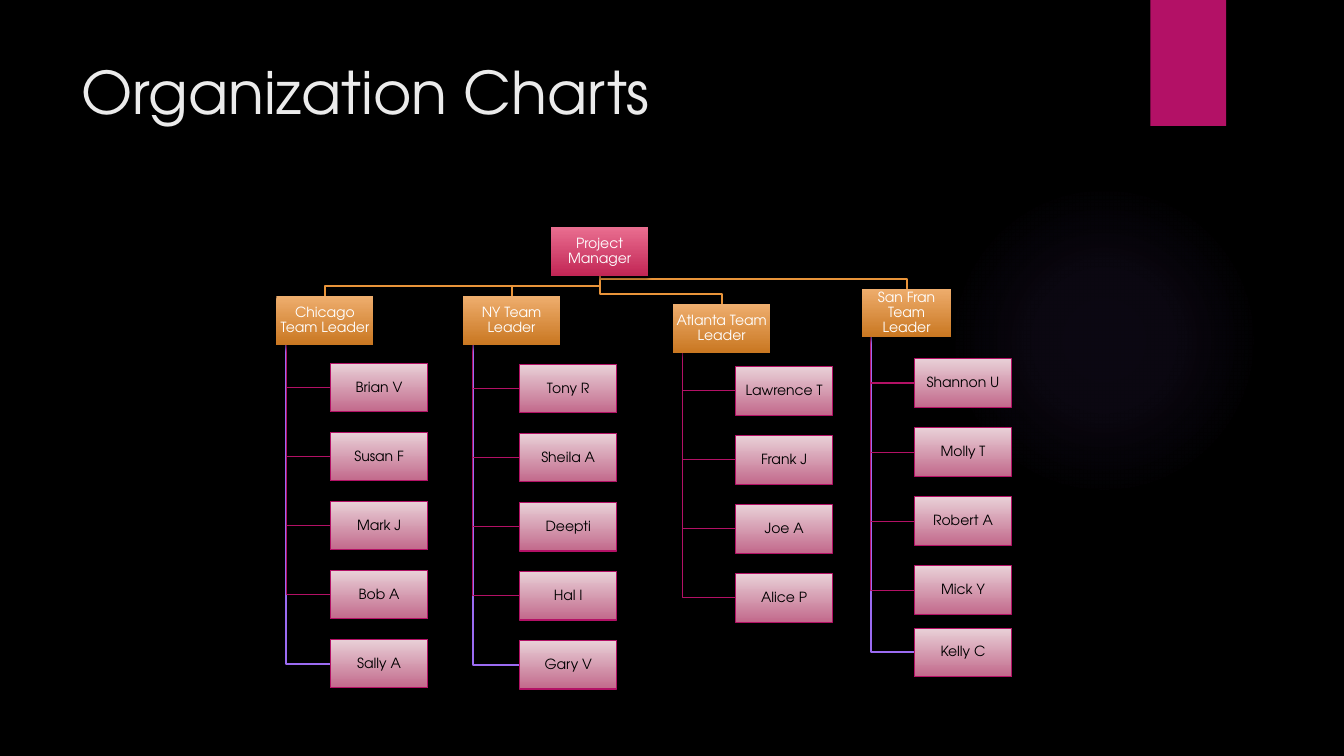
import lxml.etree
import pptx
import pptx.dml.color
import pptx.enum.shapes
import pptx.enum.text
import pptx.oxml
import pptx.util

Pt = pptx.util.Pt
NS = 'xmlns:a="http://schemas.openxmlformats.org/drawingml/2006/main"'
COLORS = {
    "back": "000000", "title": "EBEBEB", "white": "FFFFFF", "black": "000000",
    "magenta": "B31166", "orange": "E9943A", "purple": "9B6BF2",
    "manager": ("E96E90", "C22655"),
    "leader": ("EEAD6D", "C97721"),
    "member": ("E9D1D8", "C2698B"),
}
BOX_WIDTH, BOX_HEIGHT = 69.4, 34.8
MEMBER_STEP = 49.3
BUS_GAP = 7.2
MANAGER_LEFT, MANAGER_TOP = 393.6, 162.2

# leader, left, top, width, member left, first member top, members
TEAMS = [
    ("Chicago Team Leader", 197.4, 211.8, BOX_WIDTH, 236.1, 259.4,
     ["Brian V", "Susan F", "Mark J", "Bob A", "Sally A"]),
    ("NY Team Leader", 330.7, 211.8, BOX_WIDTH, 371.2, 260.2,
     ["Tony R", "Sheila A", "Deepti", "Hal I", "Gary V"]),
    ("Atlanta Team Leader", 480.8, 217.4, BOX_WIDTH, 525.4, 261.8,
     ["Lawrence T", "Frank J", "Joe A", "Alice P"]),
    ("San Fran Team Leader", 615.6, 206.2, 64, 653.2, 256.2,
     ["Shannon U", "Molly T", "Robert A", "Mick Y", "Kelly C"]),
]
LAST_TOPS = {"Kelly C": 448.6}


def rgb(name):
    return pptx.dml.color.RGBColor.from_string(COLORS.get(name, name))


def write(frame, text, size=10, color="white", align=None, anchor=None, inset=None,
          spacing=None, after=None):
    """Put one formatted paragraph into a text frame."""
    frame.word_wrap = True
    if anchor is not None:
        frame.vertical_anchor = anchor
    if inset is not None:
        frame.margin_left = frame.margin_right = Pt(inset)
        frame.margin_top = frame.margin_bottom = Pt(inset)
    para = frame.paragraphs[0]
    para.alignment = align
    para.line_spacing = spacing
    para.space_after = after
    span = para.add_run()
    span.text = text
    span.font.name = "TeX Gyre Adventor"
    span.font.size = Pt(size)
    span.font.color.rgb = rgb(color)


class OrgPage:
    """Holds the slide and the style of its elements."""

    def __init__(self, page):
        self.page = page
        page.background.fill.solid()
        page.background.fill.fore_color.rgb = rgb("back")

    def shape(self, kind, left, top, width, height):
        shape = self.page.shapes.add_shape(kind, Pt(left), Pt(top), Pt(width), Pt(height))
        shape.shadow.inherit = False
        shape.line.fill.background()
        return shape

    def rectangle(self, left, top, width, height):
        return self.shape(pptx.enum.shapes.MSO_SHAPE.RECTANGLE, left, top, width, height)

    def drop_shadow(self, shape):
        effects = shape._element.spPr.find(pptx.oxml.ns.qn("a:effectLst"))
        effects.append(pptx.oxml.parse_xml(
            f'<a:outerShdw {NS} blurRad="{Pt(3)}" dist="{Pt(2)}" dir="5400000" rotWithShape="0">'
            f'<a:srgbClr val="{COLORS["black"]}"><a:alpha val="45000"/></a:srgbClr></a:outerShdw>'))

    def glow(self, left, top, size):
        """Faint round light that fades outwards."""
        disc = self.shape(pptx.enum.shapes.MSO_SHAPE.OVAL, left, top, size, size)
        disc.fill.background()
        stops = "".join(
            f'<a:gs pos="{place}000"><a:srgbClr val="{COLORS["purple"]}">'
            f'<a:alpha val="{alpha}000"/></a:srgbClr></a:gs>'
            for place, alpha in ((0, 7), (36, 6), (69, 0)))
        gradient = pptx.oxml.parse_xml(
            f'<a:gradFill {NS}><a:gsLst>{stops}</a:gsLst><a:path path="circle">'
            '<a:fillToRect l="50000" t="50000" r="50000" b="50000"/></a:path></a:gradFill>')
        properties = disc._element.spPr
        properties.replace(properties.find(pptx.oxml.ns.qn("a:noFill")), gradient)

    def tab(self, left, top, width, height):
        tab = self.rectangle(left, top, width, height)
        tab.fill.solid()
        tab.fill.fore_color.rgb = rgb("magenta")
        self.drop_shadow(tab)

    def title(self, text, left, top, width, height):
        box = self.page.shapes.add_textbox(Pt(left), Pt(top), Pt(width), Pt(height))
        write(box.text_frame, text, size=42, color="title")

    def person(self, text, role, left, top, width=BOX_WIDTH):
        box = self.rectangle(left, top, width, BOX_HEIGHT)
        box.fill.gradient()
        box.fill.gradient_angle = 270
        for stop, place, color in zip(box.fill.gradient_stops, (0, 1), COLORS[role]):
            stop.position = place
            stop.color.rgb = rgb(color)
        if role == "member":
            box.line.color.rgb = rgb("magenta")
            box.line.width = Pt(0.75)
        else:
            self.drop_shadow(box)
        write(box.text_frame, text, color="black" if role == "member" else "white",
              align=pptx.enum.text.PP_ALIGN.CENTER, anchor=pptx.enum.text.MSO_ANCHOR.MIDDLE,
              inset=0.5, spacing=0.9, after=Pt(3.5))

    def elbow(self, points, color, weight):
        """Open line with square corners through the given points."""
        first, *rest = [(Pt(x), Pt(y)) for x, y in points]
        builder = self.page.shapes.build_freeform(*first)
        builder.add_line_segments(rest, close=False)
        line = builder.convert_to_shape()
        line.shadow.inherit = False
        line.fill.background()
        line.line.color.rgb = rgb(color)
        line.line.width = Pt(weight)


def member_tops(first, names):
    return [LAST_TOPS.get(name, first + row * MEMBER_STEP) for row, name in enumerate(names)]


def main():
    deck = pptx.Presentation()
    deck.slide_width, deck.slide_height = Pt(960), Pt(540)
    chart = OrgPage(deck.slides.add_slide(deck.slide_layouts[6]))
    chart.glow(677.5, 131.8, 221.8)
    chart.tab(821.8, 0, 54, 90)
    chart.title("Organization Charts", 51, 36, 741, 110)

    trunk = MANAGER_LEFT + BOX_WIDTH / 2
    manager_bottom = MANAGER_TOP + BOX_HEIGHT
    for leader, left, top, width, member_left, first, names in reversed(TEAMS):
        stem = left + width / 10
        for row, member_top in reversed(list(enumerate(member_tops(first, names)))):
            middle = member_top + BOX_HEIGHT / 2
            color, weight = ("purple", 1.5) if row == 4 else ("magenta", 0.75)
            chart.elbow([(stem, top + BOX_HEIGHT), (stem, middle), (member_left, middle)],
                        color, weight)
        center, bus = left + width / 2, top - BUS_GAP
        chart.elbow([(trunk, manager_bottom), (trunk, bus), (center, bus), (center, top)],
                    "orange", 1.5)

    chart.person("Project Manager", "manager", MANAGER_LEFT, MANAGER_TOP)
    for leader, left, top, width, member_left, first, names in TEAMS:
        chart.person(leader, "leader", left, top, width)
        for name, member_top in zip(names, member_tops(first, names)):
            chart.person(name, "member", member_left, member_top)

    deck.save("out.pptx")


if __name__ == "__main__":
    main()
